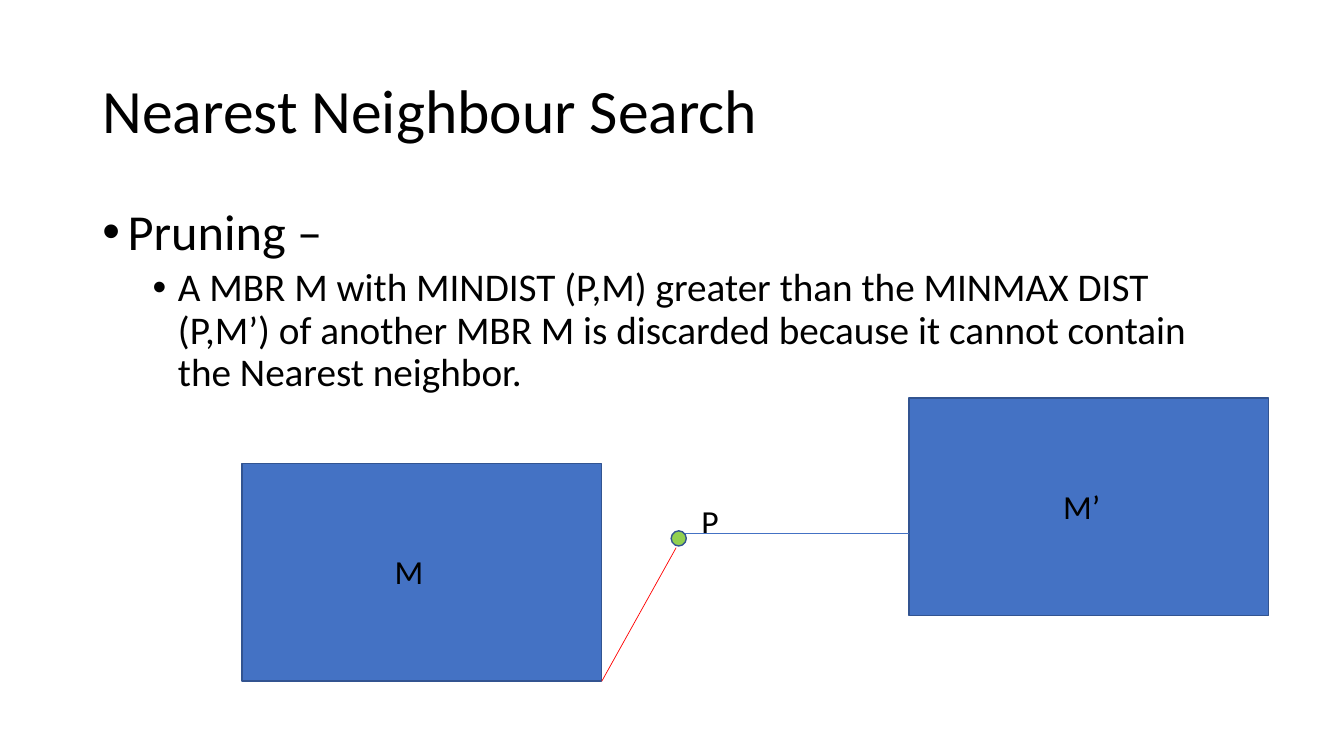
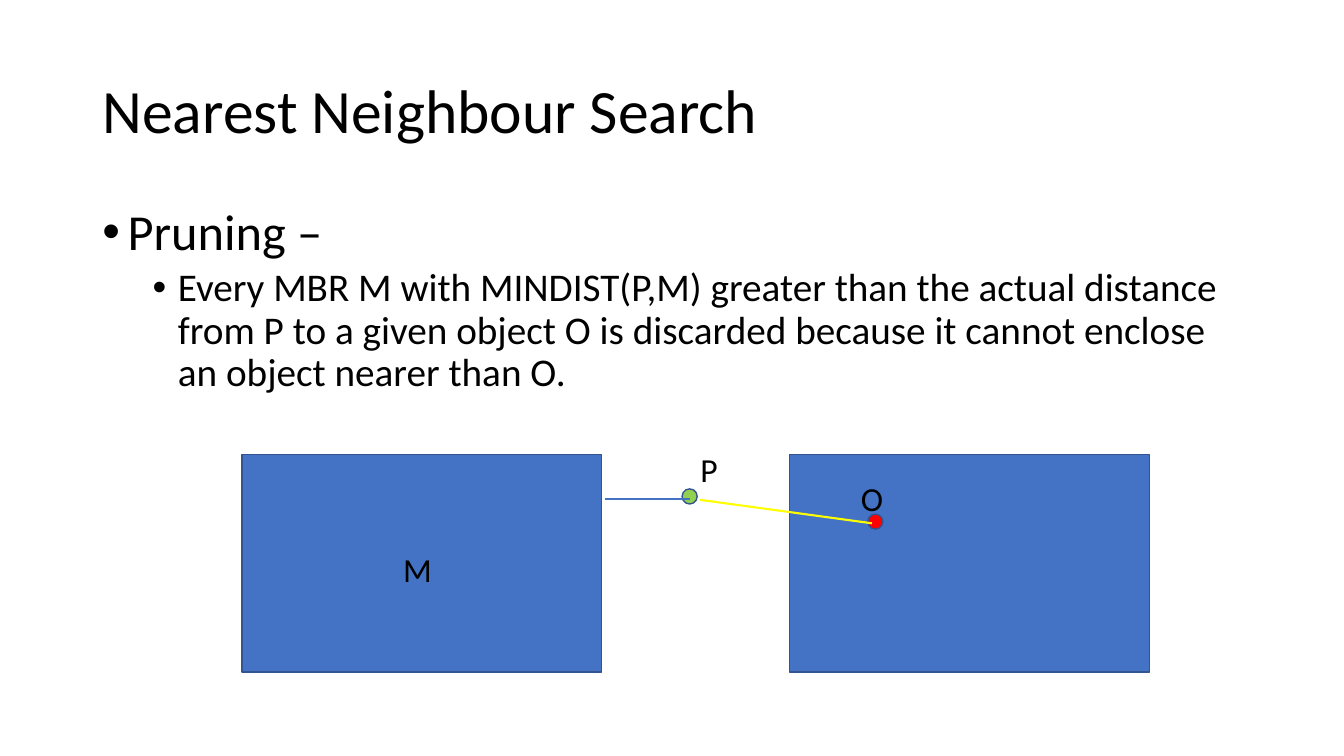
from lxml.etree import SubElement
from pptx import Presentation
from pptx.dml.color import RGBColor
from pptx.enum.shapes import MSO_CONNECTOR, MSO_SHAPE
from pptx.enum.text import MSO_ANCHOR, MSO_AUTO_SIZE, PP_ALIGN
from pptx.oxml.ns import qn
from pptx.util import Inches, Pt

BLACK = RGBColor(0x00, 0x00, 0x00)
BLUE = RGBColor(0x44, 0x72, 0xC4)
DARK_BLUE = RGBColor(0x32, 0x54, 0x91)
GREEN = RGBColor(0x92, 0xD0, 0x50)
RED = RGBColor(0xFF, 0x00, 0x00)
YELLOW = RGBColor(0xFF, 0xFF, 0x00)

FONT = "Calibri"
BULLET_FONT = "Arial"
COLUMNS, ROWS = 160, 90
TITLE_AREA = (11, 4.8, 138, 17.4)
BODY_AREA = (11, 24, 138, 57.1)
REGION_WIDTH, REGION_HEIGHT = 42.84, 25.9
DOT_SIZE = 1.8
LABEL_WIDTH, LABEL_HEIGHT = 5.8, 6
BODY_LEVELS = ((36, 10, 0.25), (28, 5, 0.75))
HANGING = Inches(0.25)


class Deck:
    def __init__(self):
        self.presentation = Presentation()
        self.presentation.slide_width = Inches(13.33)
        self.presentation.slide_height = Inches(7.5)
        self.slide = None

    def column(self, count):
        return round(self.presentation.slide_width * count / COLUMNS)

    def row(self, count):
        return round(self.presentation.slide_height * count / ROWS)

    def area(self, left, top, width, height):
        return self.column(left), self.row(top), self.column(width), self.row(height)

    def format_paragraph(self, paragraph, size):
        paragraph.alignment = PP_ALIGN.LEFT
        for run in paragraph.runs:
            run.font.name = FONT
            run.font.size = Pt(size)
            run.font.color.rgb = BLACK

    def add_slide(self, heading):
        self.slide = self.presentation.slides.add_slide(self.presentation.slide_layouts[5])
        title = self.slide.shapes.title
        title.left, title.top, title.width, title.height = self.area(*TITLE_AREA)
        frame = title.text_frame
        frame.text = heading
        frame.word_wrap = True
        frame.auto_size = MSO_AUTO_SIZE.NONE
        frame.vertical_anchor = MSO_ANCHOR.MIDDLE
        frame.paragraphs[0].line_spacing = 0.9
        self.format_paragraph(frame.paragraphs[0], 44)

    def add_body(self, *texts):
        frame = self.slide.shapes.add_textbox(*self.area(*BODY_AREA)).text_frame
        frame.word_wrap = True
        frame.text = "\n".join(texts)
        for level, (paragraph, style) in enumerate(zip(frame.paragraphs, BODY_LEVELS)):
            size, space_before, indent = style
            paragraph.level = level
            paragraph.line_spacing = 0.9
            paragraph.space_before = Pt(space_before)
            self.format_paragraph(paragraph, size)
            properties = paragraph._p.get_or_add_pPr()
            properties.set("marL", str(Inches(indent)))
            properties.set("indent", str(-HANGING))
            SubElement(properties, qn("a:buFont"), typeface=BULLET_FONT)
            SubElement(properties, qn("a:buChar"), char="•")

    def add_outlined(self, kind, area, color):
        shape = self.slide.shapes.add_shape(kind, *self.area(*area))
        shape.shadow.inherit = False
        shape.fill.solid()
        shape.fill.fore_color.rgb = color
        shape.line.color.rgb = DARK_BLUE
        shape.line.width = Pt(1)

    def add_region(self, left, top):
        area = (left, top, REGION_WIDTH, REGION_HEIGHT)
        self.add_outlined(MSO_SHAPE.RECTANGLE, area, BLUE)

    def add_dot(self, left, top, color):
        self.add_outlined(MSO_SHAPE.OVAL, (left, top, DOT_SIZE, DOT_SIZE), color)

    def add_label(self, text, left, top, width=LABEL_WIDTH):
        area = self.area(left, top, width, LABEL_HEIGHT)
        frame = self.slide.shapes.add_textbox(*area).text_frame
        frame.word_wrap = True
        frame.text = text
        self.format_paragraph(frame.paragraphs[0], 24)

    def add_line(self, start, end, color, width):
        connector = self.slide.shapes.add_connector(
            MSO_CONNECTOR.STRAIGHT,
            self.column(start[0]), self.row(start[1]),
            self.column(end[0]), self.row(end[1]),
        )
        connector.line.color.rgb = color
        connector.line.width = Pt(width)
        SubElement(connector._element.spPr, qn("a:effectLst"))


def add_pruning_slide(deck, rule):
    deck.add_slide("Nearest Neighbour Search")
    deck.add_body("Pruning –", rule)


def build_region_pruning(deck):
    add_pruning_slide(
        deck,
        "A MBR M with MINDIST (P,M) greater than the MINMAX DIST (P,M’) of another "
        "MBR M is discarded because it cannot contain the Nearest neighbor.",
    )
    left, top, other_left = 28.8, 55.2, 108.2
    deck.add_region(left, top)
    deck.add_region(other_left, 47.4)
    deck.add_label("M", 45.8, 65)
    deck.add_label("M’", 125.4, 57.2, 10.3)
    deck.add_dot(79.9, 63.2, GREEN)
    deck.add_label("P", 82.3, 59)
    corner = (left + REGION_WIDTH, top + REGION_HEIGHT)
    deck.add_line((80.5, 65.2), corner, RED, 0.5)
    deck.add_line((81.5, 63.5), (other_left, 63.5), BLUE, 0.5)


def build_object_pruning(deck):
    add_pruning_slide(
        deck,
        "Every MBR M with MINDIST(P,M) greater than the actual distance from P to a "
        "given object O is discarded because it cannot enclose an object nearer than O.",
    )
    for left in (28.8, 94):
        deck.add_region(left, 54.1)
    deck.add_dot(81.2, 58.2, GREEN)
    deck.add_line((82.1, 59.4), (72, 59.4), BLUE, 1)
    deck.add_dot(103.3, 61.2, RED)
    deck.add_line((103.8, 62.3), (83.3, 59.5), YELLOW, 1.5)
    deck.add_label("M", 46.8, 64.8)
    deck.add_label("P", 82.2, 52.9)
    deck.add_label("O", 101.3, 56.3)


def main():
    deck = Deck()
    build_region_pruning(deck)
    build_object_pruning(deck)
    deck.presentation.save("out.pptx")


if __name__ == "__main__":
    main()
